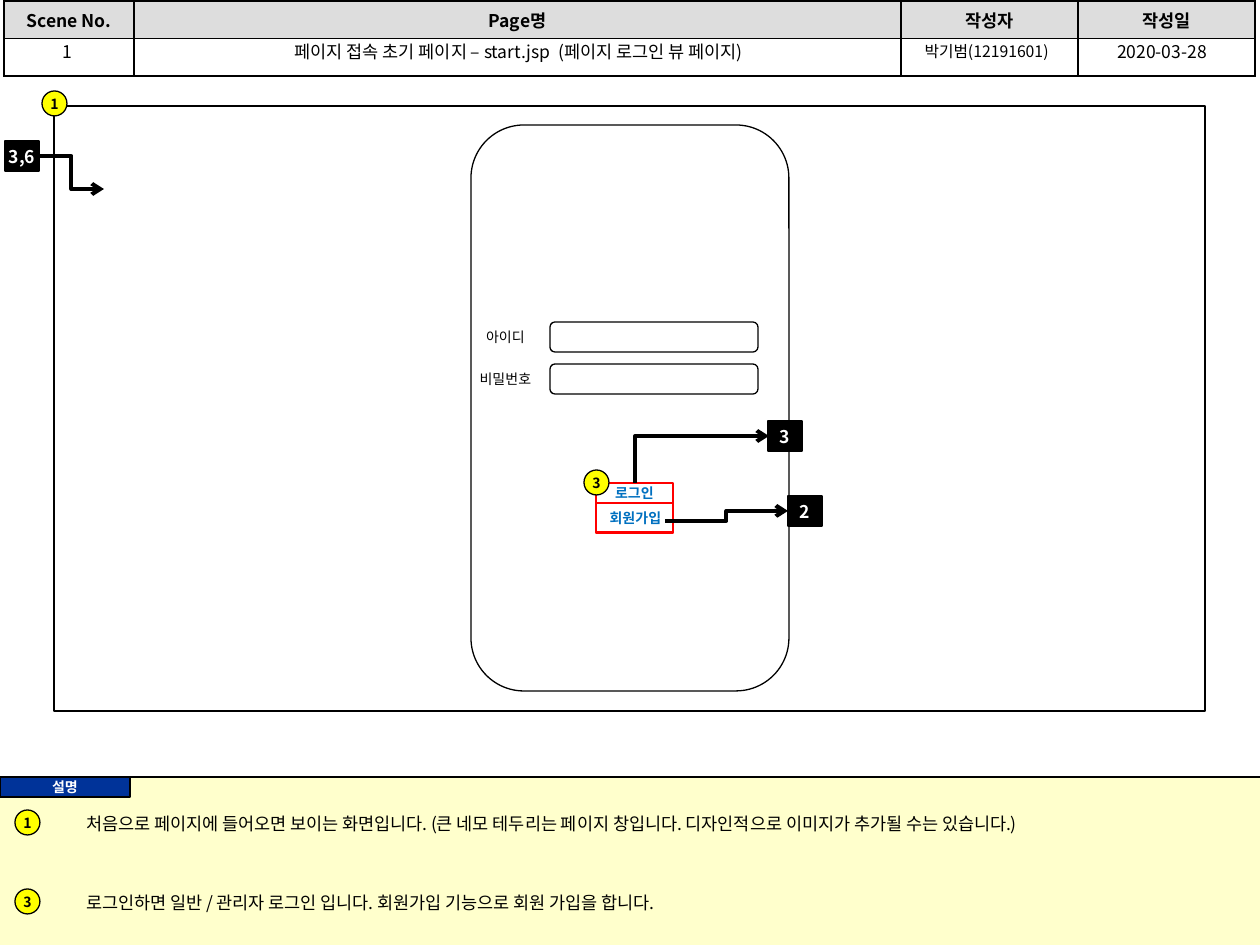
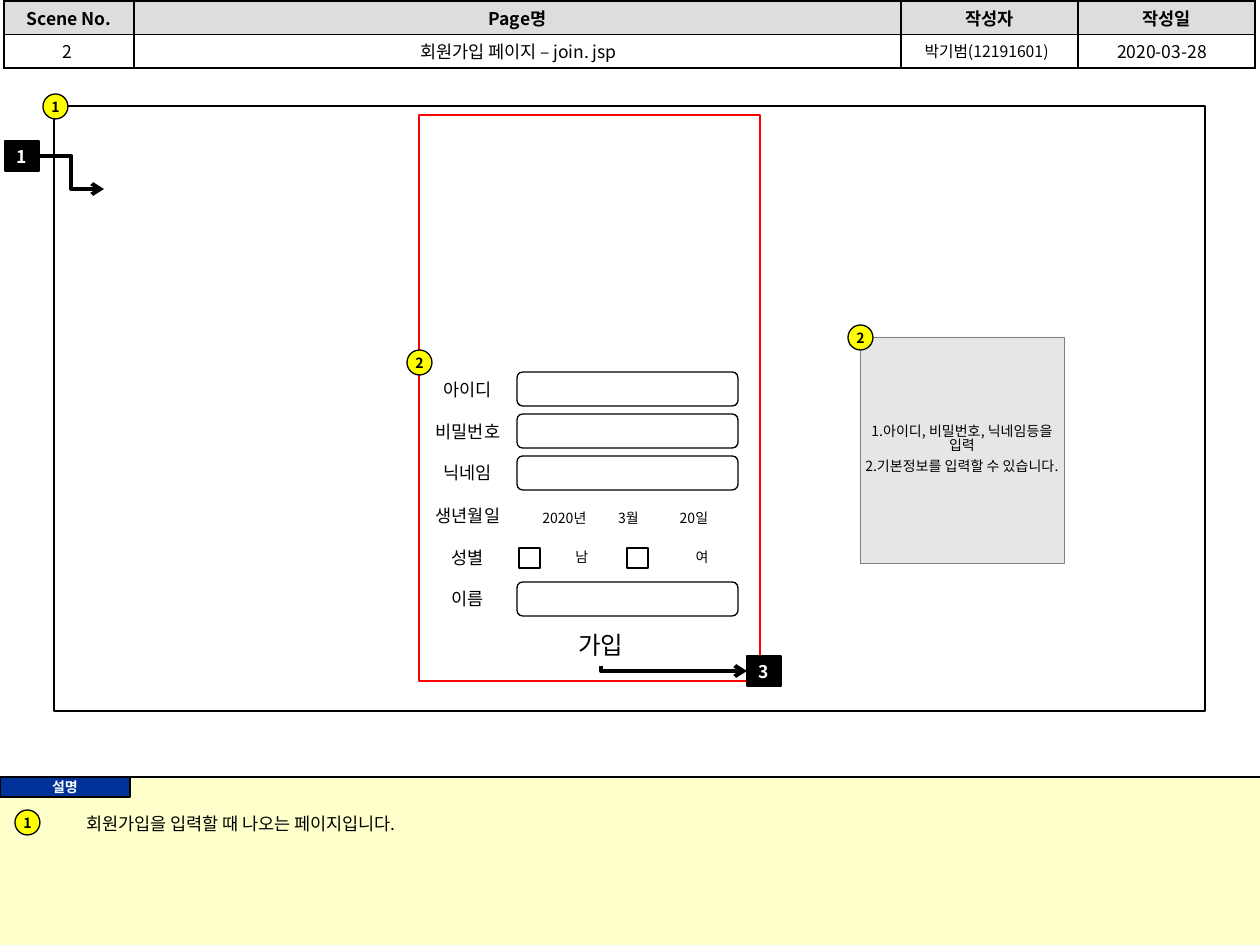
from collections import namedtuple

from lxml.etree import SubElement
from pptx import Presentation
from pptx.dml.color import RGBColor
from pptx.enum.shapes import MSO_CONNECTOR as Link, MSO_SHAPE as Form
from pptx.enum.text import MSO_ANCHOR as Anchor, PP_ALIGN as Align
from pptx.oxml.ns import qn
from pptx.util import Emu, Pt

FONT = "Noto Sans CJK KR"
BLACK = RGBColor(0x00, 0x00, 0x00)
WHITE = RGBColor(0xFF, 0xFF, 0xFF)
RED = RGBColor(0xFF, 0x00, 0x00)
YELLOW = RGBColor(0xFF, 0xFF, 0x00)
CREAM = RGBColor(0xFF, 0xFF, 0xCC)
NAVY = RGBColor(0x00, 0x33, 0x99)
BLUE = RGBColor(0x00, 0x70, 0xC0)
HEAD_GRAY = RGBColor(0xDD, 0xDD, 0xDD)
NOTE_GRAY = RGBColor(0xE6, 0xE6, 0xE6)
EDGE_GRAY = RGBColor(0x80, 0x80, 0x80)

Box = namedtuple("Box", "left top width height")
WINDOW = Box(54, 106, 1151, 605)
HEADER = Box(4, 1, 1251, 67)
PANEL = Box(0, 777, 1260, 168)


def px(length):
    """Turn pixels into EMU."""
    return Emu(round(length * 914400 / 126))


def inside(box, left, top, width, height):
    """Return a box placed relative to another one."""
    return Box(box.left + left, box.top + top, width, height)


def apply(target, values):
    """Set every attribute named in a dict."""
    for name, value in values.items():
        setattr(target, name, value)


def write(frame, lines, size, color=BLACK, bold=False, align=Align.CENTER,
          inset=0, wrap=True):
    """Fill a text frame with one paragraph per line."""
    apply(frame, {"word_wrap": wrap, "vertical_anchor": Anchor.MIDDLE,
                  "margin_left": px(inset), "margin_right": px(inset),
                  "margin_top": 0, "margin_bottom": 0})
    for index, line in enumerate(lines):
        para = frame.paragraphs[0] if index == 0 else frame.add_paragraph()
        para.alignment = align
        if len(lines) > 1:
            apply(para, {"line_spacing": 0.84,
                         "space_before": Pt(size / 2 if index else 0)})
        span = para.add_run()
        span.text = line
        apply(span.font, {"name": FONT, "size": Pt(size), "bold": bold})
        span.font.color.rgb = color


def add_label(page, box, text, size, **style):
    """Add a text box with one line."""
    label = page.shapes.add_textbox(*map(px, box))
    write(label.text_frame, [text], size, **style)


def add_form(page, form, box, fill=None, edge=BLACK, weight=0.75):
    """Add a preset shape with its fill and outline."""
    shape = page.shapes.add_shape(form, *map(px, box))
    shape.shadow.inherit = False
    if fill is None:
        shape.fill.background()
    else:
        shape.fill.solid()
        shape.fill.fore_color.rgb = fill
    if edge is None:
        shape.line.fill.background()
    else:
        shape.line.color.rgb = edge
        shape.line.width = Pt(weight)
    return shape


def add_marker(page, left, top, text):
    """Add a yellow numbered circle."""
    circle = add_form(page, Form.OVAL, Box(left, top, 25, 25), YELLOW)
    write(circle.text_frame, [text], 8, bold=True, wrap=False)


def add_scene_tag(page, left, top, text):
    """Add a black tag that names a linked scene."""
    tag = add_form(page, Form.RECTANGLE, Box(left, top, 34, 30), BLACK)
    write(tag.text_frame, [text], 10, WHITE, bold=True, wrap=False)


def add_line(page, kind, ends, weight, arrow=None, preset=None):
    """Add a black line, bent or straight, with an arrowhead if asked."""
    line = page.shapes.add_connector(kind, *map(px, ends))
    line.line.color.rgb = BLACK
    line.line.width = Pt(weight)
    props = line._element.spPr
    if preset:
        props.find(qn("a:prstGeom")).set("prst", preset)
    if arrow:
        SubElement(props.find(qn("a:ln")), qn(arrow), type="arrow")
    SubElement(props, qn("a:effectLst"))


def add_corner_arrow(page, start, tip):
    """Add an arrow that leaves vertically and arrives horizontally."""
    add_line(page, Link.ELBOW, (*tip, *start), 2.25, "a:headEnd",
             "bentConnector2")


def add_step_arrow(page, start, tip):
    """Add an arrow with a step halfway."""
    add_line(page, Link.ELBOW, (*start, *tip), 2.25, "a:tailEnd")


def border_cell(cell):
    """Draw black lines on the four sides of a cell."""
    props = cell._tc.get_or_add_tcPr()
    for index, side in enumerate(("a:lnL", "a:lnR", "a:lnT", "a:lnB")):
        line = props.makeelement(qn(side), {"w": str(Pt(1))})
        fill = SubElement(line, qn("a:solidFill"))
        SubElement(fill, qn("a:srgbClr"), val=str(BLACK))
        props.insert(index, line)


def draw_header(page, box, row_height, number, title):
    """Draw the scene table and its values."""
    heads = ("Scene No.", "Page명", "작성자", "작성일")
    frame = page.shapes.add_table(2, 4, *map(px, box))
    table = frame.table
    apply(table, {"first_row": False, "horz_banding": False})
    for column, width in zip(table.columns, (130, 767, 177, 177)):
        column.width = px(width)
    for row in table.rows:
        row.height = px(row_height)
    for head, top, bottom in zip(heads, table.rows[0].cells, table.rows[1].cells):
        write(top.text_frame, [head], 10, bold=True)
        apply(top, {"vertical_anchor": Anchor.MIDDLE, "margin_top": 0,
                    "margin_bottom": 0})
        top.fill.solid()
        top.fill.fore_color.rgb = HEAD_GRAY
        apply(bottom, {"margin_top": 0, "margin_bottom": 0})
        bottom.fill.background()
        SubElement(bottom.text_frame.paragraphs[0]._p, qn("a:endParaRPr"), sz="1000")
        border_cell(top)
        border_cell(bottom)
    values = ((-4, 134, number, 10), (136, 757, title, 10),
              (899, 167, "박기범(12191601)", 9), (1075, 166, "2020-03-28", 10))
    for left, width, text, size in values:
        add_label(page, inside(box, left, 34, width, 33), text, size)


def draw_panel(page, box, notes):
    """Draw the description band with its numbered notes."""
    add_form(page, Form.RECTANGLE, box, CREAM, None)
    right = box.left + box.width
    add_line(page, Link.STRAIGHT, (box.left, box.top, right, box.top), 0.75)
    tab = add_form(page, Form.RECTANGLE, inside(box, 0, 0, 130, 20), NAVY)
    write(tab.text_frame, ["설명"], 8, WHITE, bold=True, wrap=False)
    for top, number, text in notes:
        add_marker(page, box.left + 15, box.top + top + 2, number)
        add_label(page, inside(box, 74, top - 1, 1166, 33), text, 10,
                  align=Align.LEFT, inset=12)


def draw_window(page, box, source):
    """Draw the page window and the arrow that enters it."""
    add_form(page, Form.RECTANGLE, box)
    add_scene_tag(page, box.left - 49, box.top + 35, source)
    start = (box.left - 15, box.top + 50)
    add_step_arrow(page, start, (start[0] + 65, start[1] + 33))


def draw_login(page, box):
    """Draw the phone with the login form and its buttons."""
    add_form(page, Form.ROUNDED_RECTANGLE, box)
    for index, text in enumerate(("아이디", "비밀번호")):
        top = 197 + 42 * index
        add_label(page, inside(box, -10, top, 89, 30), text, 8)
        add_form(page, Form.ROUNDED_RECTANGLE, inside(box, 79, top, 208, 30))
    for left, top, width, text in ((125, 353, 77, "로그인"), (80, 378, 169, "회원가입")):
        add_label(page, inside(box, left, top, width, 30), text, 8,
                  color=BLUE, bold=True)
    for top, height in ((358, 49), (378, 30)):
        add_form(page, Form.RECTANGLE, inside(box, 125, top, 77, height),
                 edge=RED, weight=1)
    add_marker(page, box.left + 113, box.top + 345, "3")
    for left, top, scene in ((317, 371, "2"), (297, 296, "3")):
        add_scene_tag(page, box.left + left, box.top + top, scene)
    add_corner_arrow(page, (box.left + 164, box.top + 358),
                     (box.left + 298, box.top + 311))
    add_step_arrow(page, (box.left + 194, box.top + 396),
                   (box.left + 317, box.top + 386))


def draw_join(page, box):
    """Draw the sign-up form."""
    add_form(page, Form.RECTANGLE, box, edge=RED)
    labels = ("아이디", "비밀번호", "닉네임", "생년월일", "성별", "이름")
    for index, text in enumerate(labels):
        top = 257 + 42 * index
        add_label(page, inside(box, -1, top, 100, 34), text, 10)
        if text not in ("생년월일", "성별"):
            add_form(page, Form.ROUNDED_RECTANGLE, inside(box, 98, top, 221, 34))
    for left, width, text in ((100, 91, "2020년"), (183, 53, "3월"), (239, 72, "20일")):
        add_label(page, inside(box, left, 388, width, 30), text, 8)
    for left, gap, text in ((100, 51, "남"), (208, 63, "여")):
        add_form(page, Form.RECTANGLE, inside(box, left, 433, 21, 20))
        add_label(page, inside(box, left + gap, 427, 24, 30), text, 8)
    add_label(page, inside(box, 119, 508, 126, 43), "가입", 14)
    add_marker(page, box.left - 12, box.top + 235, "2")
    add_scene_tag(page, box.left + 328, box.top + 541, "3")
    add_corner_arrow(page, (box.left + 182, box.top + 551),
                     (box.left + 328, box.top + 556))


def draw_note(page, box):
    """Draw the gray note about the sign-up form."""
    note = add_form(page, Form.RECTANGLE, box, NOTE_GRAY, EDGE_GRAY, 0.25)
    write(note.text_frame, ["1.아이디, 비밀번호, 닉네임등을 입력",
                            "2.기본정보를 입력할 수 있습니다."], 8)
    add_marker(page, box.left - 12, box.top - 12, "2")


def add_page(deck, row_height, number, title, source, notes):
    """Add a blank page with the parts all scenes share."""
    page = deck.slides.add_slide(deck.slide_layouts[6])
    draw_panel(page, PANEL, notes)
    draw_header(page, HEADER, row_height, number, title)
    draw_window(page, WINDOW, source)
    return page


def main():
    """Build both scenes and save the deck."""
    deck = Presentation()
    apply(deck, {"slide_width": px(1260), "slide_height": px(945)})

    start = add_page(
        deck, 37.5, "1", "페이지 접속 초기 페이지 – start.jsp  (페이지 로그인 뷰 페이지)", "3,6",
        ((31, "1", "처음으로 페이지에 들어오면 보이는 화면입니다. (큰 네모 테두리는 페이지 창입니다. "
                   "디자인적으로 이미지가 추가될 수는 있습니다.)"),
         (110, "3", "로그인하면 일반 / 관리자 로그인 입니다. 회원가입 기능으로 회원 가입을 합니다.")))
    draw_login(start, inside(WINDOW, 417, 19, 318, 566))
    add_marker(start, 42, 91, "1")

    join = add_page(deck, 33.5, "2", "회원가입 페이지 – join. jsp", "1",
                    ((31, "1", "회원가입을 입력할 때 나오는 페이지입니다."),))
    draw_join(join, inside(WINDOW, 365, 9, 341, 566))
    draw_note(join, inside(WINDOW, 806, 231, 204, 226))
    add_marker(join, 43, 94, "1")
    deck.save("out.pptx")


main()
